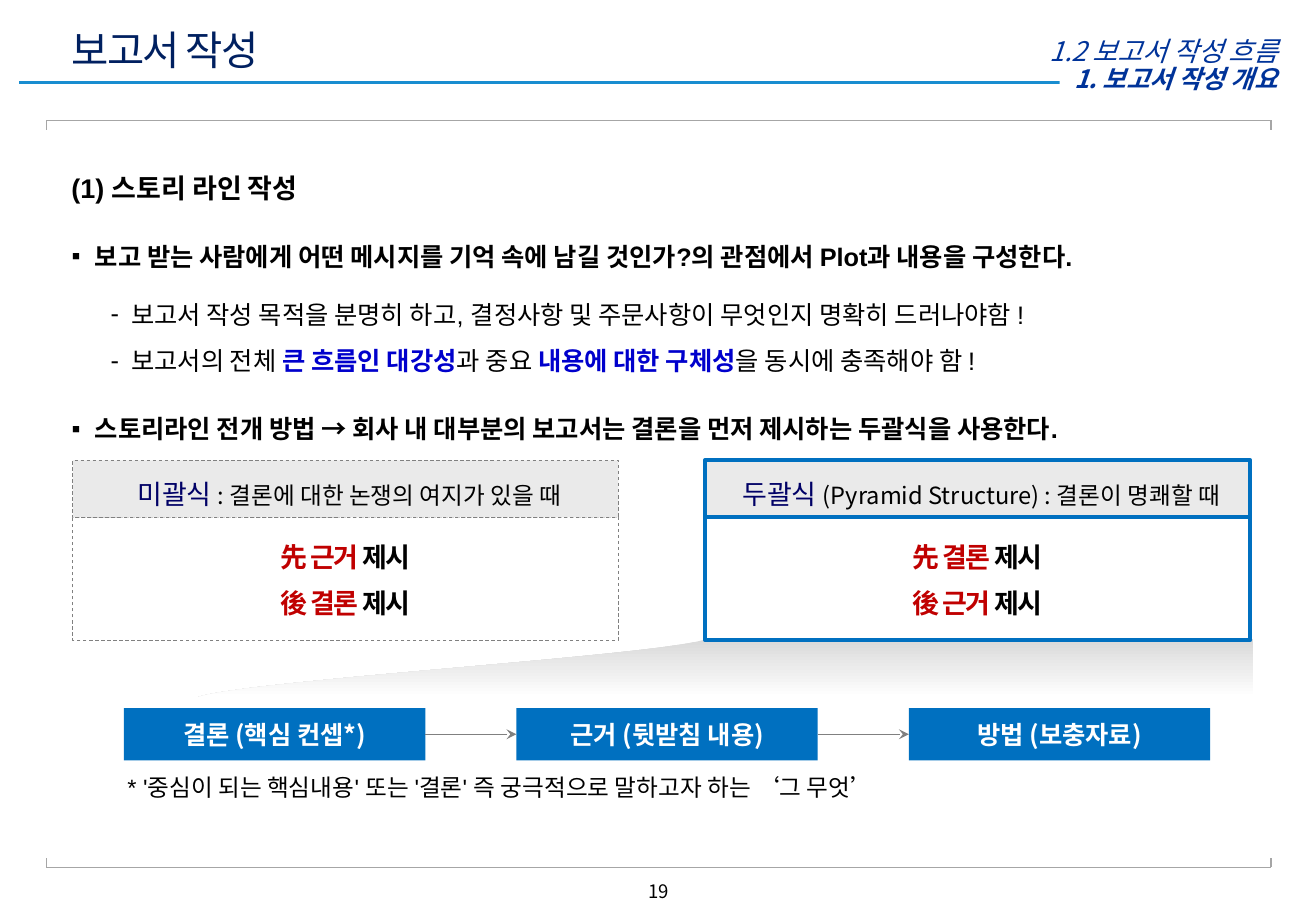
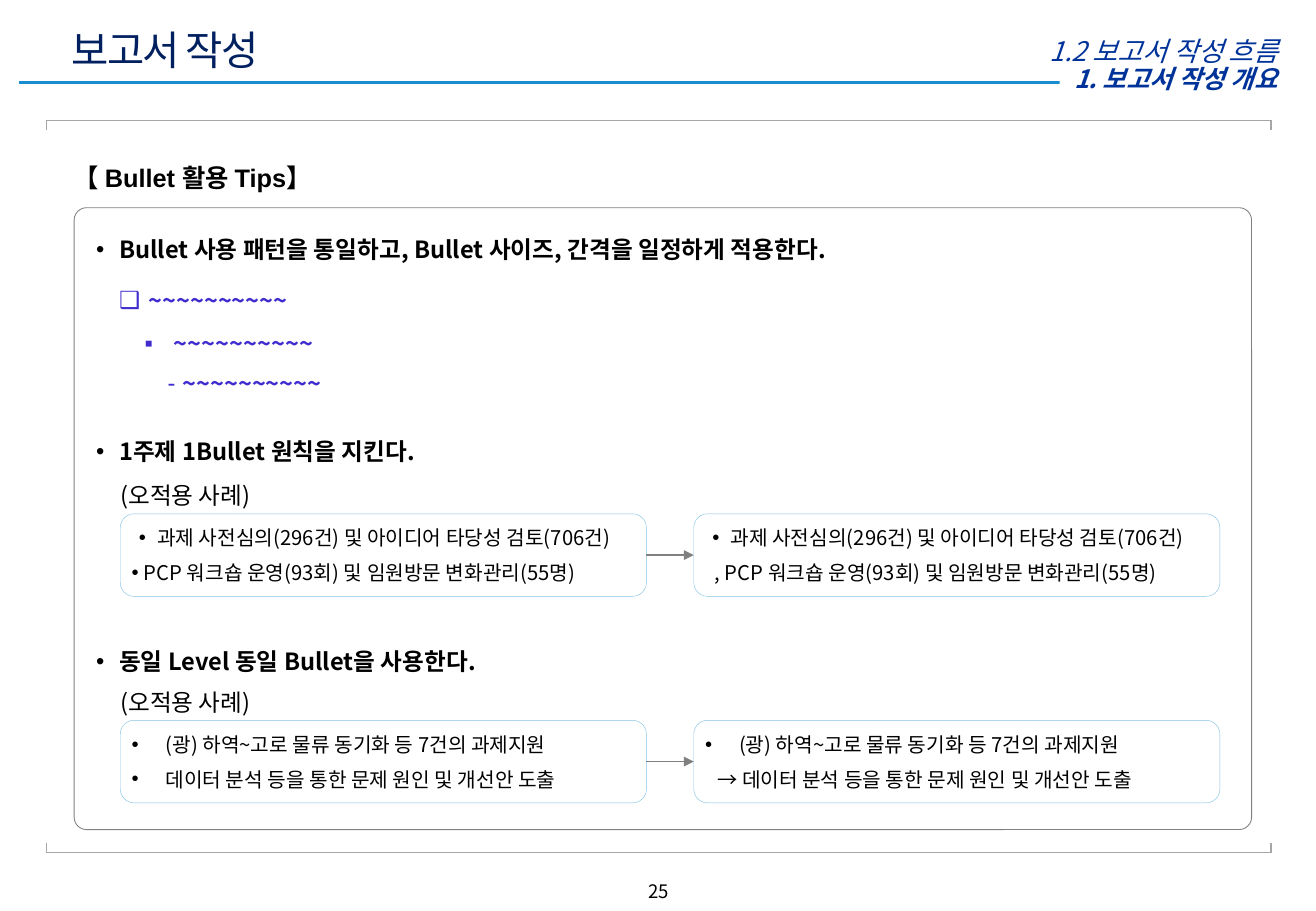
from lxml import etree
from pptx import Presentation
from pptx import util as u
from pptx.dml.color import RGBColor
from pptx.enum import dml, shapes, text
from pptx.oxml.ns import qn

COLORS = {
    "black": "000000", "white": "FFFFFF", "title": "002060", "section": "003399",
    "rule": "188DD0", "bracket": "A6A6A6", "gray": "808080", "header": "EAEAEA",
    "blue": "0070C0", "navy": "000066", "red": "C00000", "accent": "0000CC",
    "violet": "3F2CCE", "pale": "83C2E5", "shade": "D9D9D9",
}
KR, ARIAL = "Noto Sans CJK KR", "Arial"
LEFT, CENTER, RIGHT = text.PP_ALIGN.LEFT, text.PP_ALIGN.CENTER, text.PP_ALIGN.RIGHT
RECT, ROUND = shapes.MSO_SHAPE.RECTANGLE, shapes.MSO_SHAPE.ROUNDED_RECTANGLE
INSETS = (0.1, 0.05, 0.1, 0.05)


def rgb(name):
    return RGBColor.from_string(COLORS[name])


def sub(parent, tag, **attrs):
    return etree.SubElement(parent, qn(tag), attrs)


# Text
def set_font(font, size=None, color=None, bold=None, italic=None, name=None, spc=None):
    if size:
        font.size = u.Pt(size)
    if color:
        font.color.rgb = rgb(color)
    if bold is not None:
        font.bold = bold
    if italic is not None:
        font.italic = italic
    if name:
        font.name = name
        sub(font._element, "a:ea", typeface=KR)
    if spc:
        font._element.set("spc", str(spc * 100))


def para(content, size, color="black", bold=False, italic=False, name=KR, spc=None,
         align=LEFT, line=None, before=0, bullet=None, margin=0, indent=0):
    """Describe a paragraph; content is a string or a list of (text, font changes)."""
    return dict(runs=[(content, {})] if isinstance(content, str) else content,
                font=dict(size=size, color=color, bold=bold, italic=italic,
                          name=name, spc=spc),
                align=align, line=line or round(size * 1.2), before=before,
                bullet=bullet, margin=margin, indent=indent)


def add_paragraph(p, d):
    p.alignment = d["align"]
    p.line_spacing = u.Pt(d["line"])
    p.space_before = u.Pt(d["before"])
    pPr = p._p.get_or_add_pPr()
    pPr.set("marL", str(u.Inches(d["margin"])))
    pPr.set("indent", str(u.Inches(d["indent"])))
    if d["bullet"]:
        sub(sub(pPr, "a:buClr"), "a:srgbClr", val=COLORS[d["font"]["color"]])
        sub(pPr, "a:buFont", typeface=ARIAL)
        sub(pPr, "a:buChar", char=d["bullet"])
    else:
        sub(pPr, "a:buNone")
    set_font(p.font, **d["font"])
    for content, changes in d["runs"]:
        r = p.add_run()
        r.text = content
        if changes:
            set_font(r.font, **changes)


def fill_text(sp, paras, anchor=text.MSO_ANCHOR.TOP, insets=INSETS, wrap=True):
    tf = sp.text_frame
    tf.auto_size = text.MSO_AUTO_SIZE.NONE
    tf.word_wrap = wrap
    tf.vertical_anchor = anchor
    tf.margin_left, tf.margin_top, tf.margin_right, tf.margin_bottom = map(u.Inches, insets)
    for i, d in enumerate(paras):
        add_paragraph(tf.add_paragraph() if i else tf.paragraphs[0], d)


def textbox(s, box, *paras):
    fill_text(s.shapes.add_textbox(*map(u.Inches, box)), paras)


def placeholder(sp, box, paras, anchor=text.MSO_ANCHOR.TOP):
    sp.left, sp.top, sp.width, sp.height = map(u.Inches, box)
    fill_text(sp, paras, anchor)


# Shapes and lines
def shape(s, kind, box, paras=(), fill=None, line=None, width=0.5, dash=False,
          adj=None, insets=INSETS, wrap=True):
    sp = s.shapes.add_shape(kind, *map(u.Inches, box))
    sp.shadow.inherit = False
    if adj is not None:
        sp.adjustments[0] = adj
    if fill:
        sp.fill.solid()
        sp.fill.fore_color.rgb = rgb(fill)
    else:
        sp.fill.background()
    if line:
        sp.line.color.rgb = rgb(line)
        sp.line.width = u.Pt(width)
        if dash:
            sp.line.dash_style = dml.MSO_LINE.DASH
    else:
        sp.line.fill.background()
    if paras:
        fill_text(sp, paras, text.MSO_ANCHOR.MIDDLE, insets, wrap)
    return sp


def connector(s, x1, y1, x2, y2, color, width):
    cx = s.shapes.add_connector(shapes.MSO_CONNECTOR.STRAIGHT,
                                *map(u.Inches, (x1, y1, x2, y2)))
    cx.line.color.rgb = rgb(color)
    cx.line.width = u.Pt(width)
    sub(cx._element.spPr, "a:effectLst")
    return cx


def arrow(s, source, target, head, width):
    cx = connector(s, 0, 0, 1, 1, "gray", width)
    cx.begin_connect(source, 3)
    cx.end_connect(target, 1)
    sub(cx.line._get_or_add_ln(), "a:tailEnd", type=head)


def bracket(s, y, tick):
    left, right = 0.38, 10.46
    connector(s, left, y, right, y, "bracket", 0.75)
    for x in (left, right):
        connector(s, x, y, x, y + tick, "bracket", 0.75)


# Parts shared by the slides
def base_slide(prs, number, bottom, heading, body_box, body):
    s = prs.slides.add_slide(prs.slide_layouts[1])
    placeholder(s.shapes.title, (0.49, 0.22, 6.38, 0.37),
                [para("보고서 작성", 24, "title", spc=-1)], text.MSO_ANCHOR.MIDDLE)
    placeholder(s.placeholders[1], body_box, body)
    connector(s, 0.16, 0.68, 10.59, 0.68, "rule", 2)
    shape(s, RECT, (8.72, 0.52, 1.97, 0.25),
          [para("1. 보고서 작성 개요", 15, "section", bold=True, italic=True, align=CENTER)],
          fill="white", insets=(0.04, 0.05, 0.1, 0.05), wrap=False)
    textbox(s, (7.15, 0.24, 3.47, 0.3),
            para("1.2 보고서 작성 흐름", 16, "section", italic=True, align=RIGHT))
    bracket(s, 0.99, 0.08)
    bracket(s, bottom, -0.08)
    textbox(s, *heading)
    textbox(s, (4.39, 7.2, 2.06, 0.25), para(str(number), 11, align=CENTER))
    return s


# Story line slide
def curved_shade(s):
    start, c1, c2, end = (5.82, 5.26), (5.43, 5.4), (2.02, 5.6), (1.63, 5.74)
    steps = 40
    points = []
    for i in range(1, steps + 1):
        t = i / steps
        points.append(tuple(
            (1 - t) ** 3 * a + 3 * (1 - t) ** 2 * t * b + 3 * (1 - t) * t ** 2 * c + t ** 3 * d
            for a, b, c, d in zip(start, c1, c2, end)))
    points += [(10.31, 5.74), (10.31, 5.26)]
    fb = s.shapes.build_freeform(*map(u.Inches, start))
    fb.add_line_segments([tuple(map(u.Inches, pt)) for pt in points])
    sp = fb.convert_to_shape()
    sp.shadow.inherit = False
    sp.line.fill.background()
    sp.fill.gradient()
    sp.fill.gradient_angle = 270
    for stop, color, position in zip(sp.fill.gradient_stops, ("shade", "white"), (0, 1)):
        stop.color.rgb = rgb(color)
        stop.position = position


def structure_card(s, x, name, note, order, **outline):
    shape(s, RECT, (x, 3.79, 4.49, 0.47),
          [para([(name, dict(size=16, color="navy")), (note, {})], 14,
                align=CENTER, line=25)],
          fill="header", insets=(0.16, 0.05, 0.1, 0.05), **outline)
    lines = [para([(f"{mark} {what} ", dict(color="red")), ("제시", {})], 16, bold=True,
                  name=ARIAL, spc=-1, align=CENTER, line=20, before=7.4 * i)
             for i, (mark, what) in enumerate(zip("先後", order))]
    shape(s, RECT, (x, 4.26, 4.49, 1.01), lines, fill="white", **outline)


def story_slide(prs):
    def point(content, before=0):
        return para(content, 15, bold=True, name=ARIAL, line=27, before=before,
                    bullet="▪", margin=0.19, indent=-0.19)

    def detail(content, before):
        return para(content, 15, name=ARIAL, line=27, before=before,
                    bullet="-", margin=0.49, indent=-0.17)

    strong = dict(color="accent", bold=True)
    body = [
        point("보고 받는 사람에게 어떤 메시지를 기억 속에 남길 것인가?의 관점에서 Plot과 내용을 구성한다."),
        detail("보고서 작성 목적을 분명히 하고, 결정사항 및 주문사항이 무엇인지 명확히 드러나야함 !", 7.4),
        detail([("보고서의 전체 ", {}), ("큰 흐름인 대강성", strong), ("과 중요 ", {}),
                ("내용에 대한 구체성", strong), ("을 동시에 충족해야 함 !", {})], 0.3),
        point("스토리라인 전개 방법 → 회사 내 대부분의 보고서는 결론을 먼저 제시하는 두괄식을 사용한다.", 13.3),
    ]
    heading = ((0.49, 1.2, 3.76, 0.55),
               para("(1) 스토리 라인 작성", 16, bold=True, name=ARIAL, line=31))
    s = base_slide(prs, 19, 7.14, heading, (0.49, 1.81, 9.83, 1.9), body)

    curved_shade(s)
    structure_card(s, 0.6, "미괄식 ", ": 결론에 대한 논쟁의 여지가 있을 때",
                   ("근거", "결론"), line="gray", width=0.5, dash=True)
    structure_card(s, 5.8, "두괄식 ", "(Pyramid Structure) : 결론이 명쾌할 때",
                   ("결론", "근거"), line="blue", width=2.25)

    # Three-step flow
    labels = ("결론 (핵심 컨셉*)", "근거 (뒷받침 내용)", "방법 (보충자료)")
    steps = [shape(s, RECT, (1.02 + 3.23 * i, 5.83, 2.48, 0.43),
                   [para(label, 15, "white", bold=True, align=CENTER)], fill="blue")
             for i, label in enumerate(labels)]
    for source, target in zip(steps, steps[1:]):
        arrow(s, source, target, "stealth", 0.25)
    textbox(s, (0.95, 6.31, 7.05, 0.34),
            para("* '중심이 되는 핵심내용' 또는 '결론' 즉 궁극적으로 말하고자 하는 ‘그 무엇’",
                 14, name=ARIAL))


# Bullet tips slide
def example_pair(s, y, *examples):
    boxes = []
    for x, rows in zip((0.99, 5.71), examples):
        paras = [para(content, 12, line=14.5, before=6 * i, bullet=bullet,
                      margin=margin, indent=indent)
                 for i, (content, bullet, margin, indent) in enumerate(rows)]
        boxes.append(shape(s, ROUND, (x, y, 4.33, 0.68), paras, fill="white", line="pale",
                           width=0.25, adj=0.167, insets=(0.04,) * 4, wrap=False))
    arrow(s, *boxes, "triangle", 0.75)


def tips_slide(prs):
    def tip(content, before=0):
        return para(content, 14, bold=True, before=before,
                    bullet="•", margin=0.19, indent=-0.19)

    def sample(bullet, margin, indent, before):
        return para("~" * 10, 14, "violet", bold=True, before=before,
                    bullet=bullet, margin=margin, indent=indent)

    def wrong_case(before):
        return para("(오적용 사례)", 14, before=before, margin=0.2)

    body = [
        tip("Bullet 사용 패턴을 통일하고, Bullet 사이즈, 간격을 일정하게 적용한다."),
        sample("❑", 0.43, -0.24, 13.2),
        sample("▪", 0.64, -0.24, 8.5),
        sample("-", 0.71, -0.12, 6.7),
        tip("1주제 1Bullet 원칙을 지킨다.", 23.3),
        wrong_case(9),
        tip("동일 Level 동일 Bullet을 사용한다.", 81.4),
        wrong_case(7.3),
    ]
    heading = ((0.51, 1.15, 2.7, 0.53),
               para("【 Bullet 활용 Tips】", 15, bold=True, name=ARIAL, line=28))
    s = base_slide(prs, 25, 7.02, heading, (0.69, 1.88, 8.64, 4.1), body)
    shape(s, ROUND, (0.61, 1.71, 9.69, 5.12), line="gray", adj=0.02)

    review = ("과제 사전심의(296건) 및 아이디어 타당성 검토(706건)", "•", 0.23, -0.15)
    workshop = "PCP 워크숍 운영(93회) 및 임원방문 변화관리(55명)"
    example_pair(s, 4.23, [review, (workshop, "•", 0.12, -0.1)],
                 [review, (", " + workshop, None, 0.1, 0)])
    support = ("(광) 하역~고로 물류 동기화 등 7건의 과제지원", "•", 0.3, -0.28)
    analysis = "데이터 분석 등을 통한 문제 원인 및 개선안 도출"
    example_pair(s, 5.93, [support, (analysis, "•", 0.3, -0.28)],
                 [support, ("→ " + analysis, None, 0.12, 0)])


def main():
    prs = Presentation()
    prs.slide_width, prs.slide_height = u.Inches(10.83), u.Inches(7.5)
    story_slide(prs)
    tips_slide(prs)
    prs.save("out.pptx")


if __name__ == "__main__":
    main()
